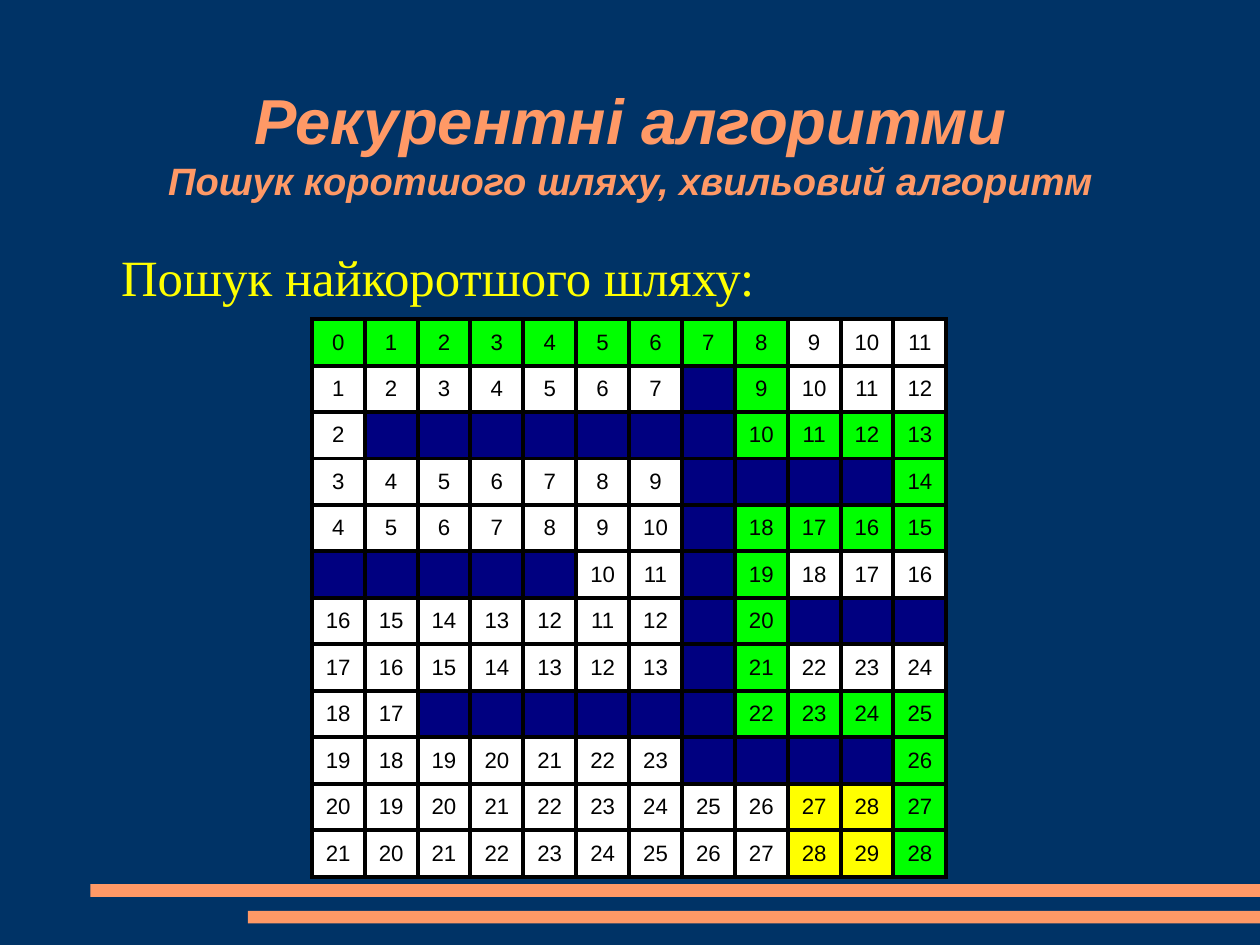
from copy import deepcopy

from lxml.etree import SubElement
from pptx import Presentation
from pptx.dml.color import RGBColor
from pptx.enum.shapes import MSO_SHAPE
from pptx.enum.text import MSO_ANCHOR, MSO_AUTO_SIZE, PP_ALIGN
from pptx.oxml.ns import qn
from pptx.util import Cm, Pt

NAVY = RGBColor(0x00, 0x33, 0x66)
ORANGE = RGBColor(0xFF, 0x99, 0x66)
YELLOW = RGBColor(0xFF, 0xFF, 0x00)
GREEN = RGBColor(0x00, 0xFF, 0x00)
WALL_BLUE = RGBColor(0x00, 0x00, 0x80)
WHITE = RGBColor(0xFF, 0xFF, 0xFF)
BLACK = RGBColor(0x00, 0x00, 0x00)

SLIDE_WIDTH, SLIDE_HEIGHT = 28, 21
BORDER_WIDTH = Pt(2.83)

# Wave numbers; # is a wall, * marks the shortest path, + the yellow cells
MAZE = """
0*  1*  2*  3*  4*  5*  6*  7*  8*  9   10  11
1   2   3   4   5   6   7   #   9*  10  11  12
2   #   #   #   #   #   #   #   10* 11* 12* 13*
3   4   5   6   7   8   9   #   #   #   #   14*
4   5   6   7   8   9   10  #   18* 17* 16* 15*
#   #   #   #   #   10  11  #   19* 18  17  16
16  15  14  13  12  11  12  #   20* #   #   #
17  16  15  14  13  12  13  #   21* 22  23  24
18  17  #   #   #   #   #   #   22* 23* 24* 25*
19  18  19  20  21  22  23  #   #   #   #   26*
20  19  20  21  22  23  24  25  26  27+ 28+ 27*
21  20  21  22  23  24  25  26  27  28+ 29+ 28*
"""
MARK_FILLS = {"#": WALL_BLUE, "*": GREEN, "+": YELLOW}

NO_MARGINS = dict.fromkeys(
    ("margin_left", "margin_right", "margin_top", "margin_bottom"), 0)
CELL_FORMAT = {
    "margin_left": Cm(0.1), "margin_right": Cm(0.1),
    "margin_top": Cm(0.13), "margin_bottom": Cm(0.13),
    "vertical_anchor": MSO_ANCHOR.MIDDLE,
}
TITLE_FONT = {"name": "Arial", "size": Pt(40), "bold": True, "italic": True}
SUBTITLE_FONT = {**TITLE_FONT, "size": Pt(24)}
HEADING_FONT = {"name": "Times New Roman", "size": Pt(32)}
CELL_FONT = {"name": "Arial", "size": Pt(14)}


def set_attributes(target, values):
    for name, value in values.items():
        setattr(target, name, value)


def add_run(paragraph, text, font_format, color):
    run = paragraph.add_run()
    run.text = text
    set_attributes(run.font, font_format)
    run.font.color.rgb = color
    return run


def add_bar(slide, left, top):
    """Draw an orange bar that runs to the right edge of the slide."""
    bar = slide.shapes.add_shape(
        MSO_SHAPE.RECTANGLE, Cm(left), Cm(top), Cm(SLIDE_WIDTH - left), Cm(0.28))
    bar.shadow.inherit = False
    bar.fill.solid()
    bar.fill.fore_color.rgb = ORANGE
    bar.line.fill.background()


def fill_title(title, heading, subheading):
    set_attributes(title, {"left": Cm(2.06), "top": Cm(0.79),
                           "width": Cm(23.9), "height": Cm(4.72)})
    frame = title.text_frame
    set_attributes(frame, {**NO_MARGINS, "word_wrap": True,
                           "auto_size": MSO_AUTO_SIZE.NONE,
                           "vertical_anchor": MSO_ANCHOR.MIDDLE})
    paragraph = frame.paragraphs[0]
    paragraph.alignment = PP_ALIGN.CENTER
    run = add_run(paragraph, heading, TITLE_FONT, ORANGE)
    paragraph.add_line_break()
    # The break takes the heading's size, so the first line keeps its height
    paragraph._p[-1].append(deepcopy(run._r.rPr))
    add_run(paragraph, subheading, SUBTITLE_FONT, ORANGE)


def add_heading(slide, text):
    box = slide.shapes.add_textbox(Cm(2.06), Cm(5.46), Cm(24.36), Cm(13.72))
    set_attributes(box.text_frame, {**NO_MARGINS, "word_wrap": True})
    paragraph = box.text_frame.paragraphs[0]
    properties = paragraph._p.get_or_add_pPr()
    properties.set("marL", str(Cm(1.27)))
    properties.set("indent", str(-Cm(0.64)))
    add_run(paragraph, text, HEADING_FONT, YELLOW)


def add_borders(cell):
    properties = cell._tc.get_or_add_tcPr()
    for side in ("lnL", "lnR", "lnT", "lnB"):
        line = SubElement(properties, qn(f"a:{side}"), w=str(BORDER_WIDTH))
        fill = SubElement(line, qn("a:solidFill"))
        SubElement(fill, qn("a:srgbClr"), val=str(BLACK))


def format_cell(cell, entry):
    """Write one maze entry: its number, and the fill that its mark asks for."""
    set_attributes(cell, CELL_FORMAT)
    add_borders(cell)
    cell.fill.solid()
    cell.fill.fore_color.rgb = MARK_FILLS.get(entry[-1], WHITE)
    number = entry.rstrip("#*+")
    if number:
        paragraph = cell.text_frame.paragraphs[0]
        paragraph.alignment = PP_ALIGN.CENTER
        add_run(paragraph, number, CELL_FONT, BLACK)


def add_maze(slide):
    rows = [line.split() for line in MAZE.strip().splitlines()]
    table = slide.shapes.add_table(
        len(rows), len(rows[0]), Cm(6.93), Cm(7.09), Cm(14.1), Cm(12.4)).table
    set_attributes(table, {"first_row": False, "horz_banding": False})
    for row_index, row in enumerate(rows):
        for column_index, entry in enumerate(row):
            format_cell(table.cell(row_index, column_index), entry)


def main():
    presentation = Presentation()
    presentation.slide_width = Cm(SLIDE_WIDTH)
    presentation.slide_height = Cm(SLIDE_HEIGHT)
    slide = presentation.slides.add_slide(presentation.slide_layouts[5])
    slide.background.fill.solid()
    slide.background.fill.fore_color.rgb = NAVY

    add_bar(slide, left=2.01, top=19.65)
    add_bar(slide, left=5.51, top=20.24)
    fill_title(slide.shapes.title, "Рекурентні алгоритми",
               "Пошук коротшого шляху, хвильовий алгоритм")
    add_heading(slide, "Пошук найкоротшого шляху:")
    add_maze(slide)
    presentation.save("out.pptx")


if __name__ == "__main__":
    main()
